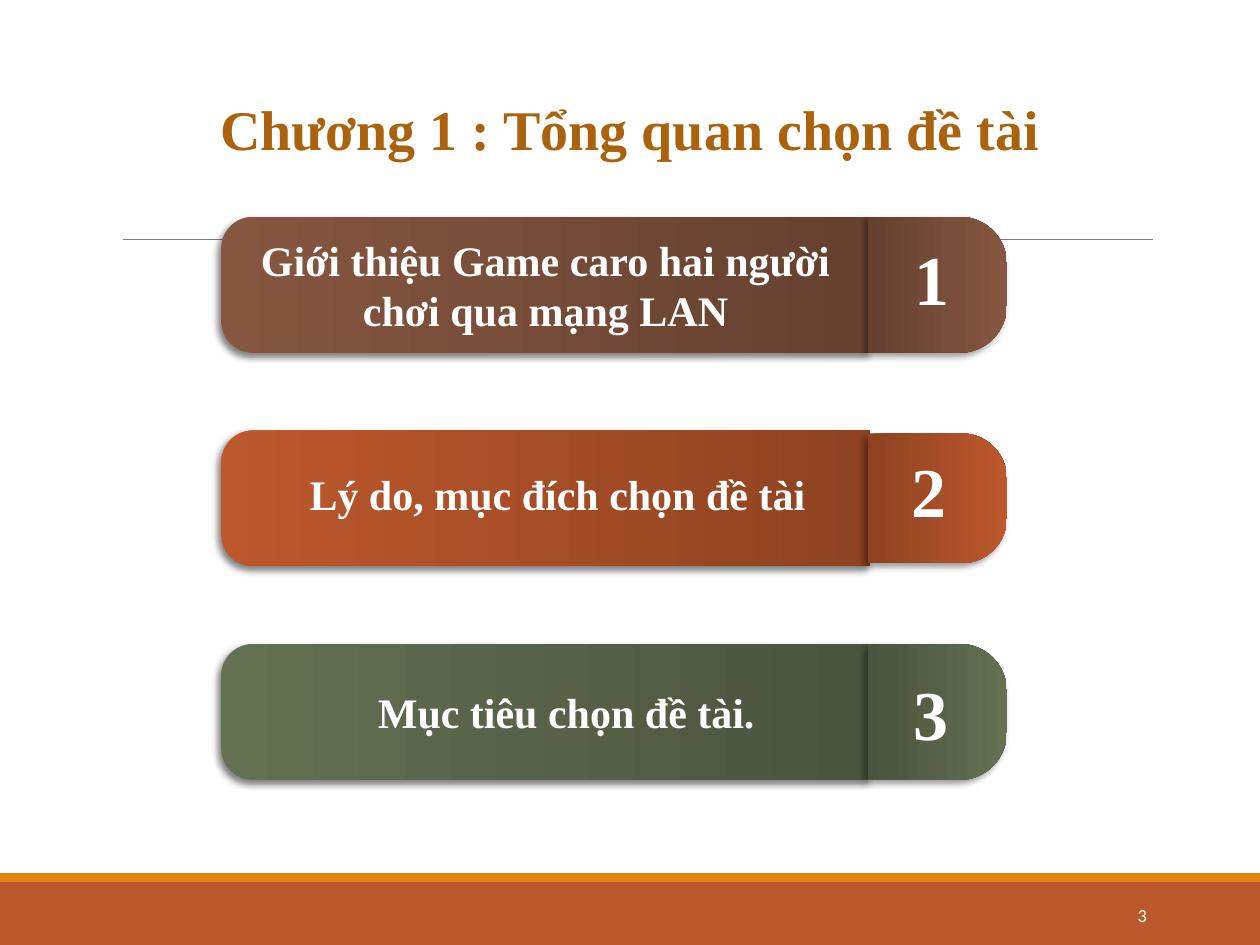
from lxml.etree import SubElement
from pptx import Presentation
from pptx.dml.color import RGBColor as RGB
from pptx.enum.shapes import MSO_CONNECTOR as LINE, MSO_SHAPE as SHAPE
from pptx.enum.text import MSO_ANCHOR as ANCHOR, MSO_AUTO_SIZE as FIT, PP_ALIGN as ALIGN
from pptx.oxml import parse_xml
from pptx.oxml.ns import nsdecls, qn
from pptx.util import Inches, Pt

COLORS = {
    "orange": "BD582C", "amber": "E48312", "rule": "808080", "title": "AB620D",
    "white": "FFFFFF", "brown": "865640", "brown_dark": "654130",
    "orange_dark": "8E4221", "green": "637052", "green_dark": "4A543E",
}
FORMATS = {
    "title": {"name": "Times New Roman", "size": Pt(32), "bold": True},
    "number": {"name": "Times New Roman", "size": Pt(40), "bold": True},
    "label": {"name": "Times New Roman", "size": Pt(24), "bold": True},
    "page": {"name": "Calibri", "size": Pt(10.5), "bold": False},
}


class Deck:
    """Slide builder on a grid of 100 columns by 75 rows."""

    def __init__(self):
        self.prs = Presentation()
        self.prs.slide_width, self.prs.slide_height = Inches(10), Inches(7.5)
        self.cell = self.prs.slide_width / 100
        self.s = self.prs.slides.add_slide(self.prs.slide_layouts[5])

    def grid(self, *cells):
        return [round(c * self.cell) for c in cells]

    def color(self, name):
        return RGB.from_string(COLORS[name])

    def fill_text(self, sp, text, style, color="white", align=ALIGN.CENTER,
                  anchor=ANCHOR.MIDDLE, wrap=True, fit=FIT.SHAPE_TO_FIT_TEXT):
        tf = sp.text_frame
        for key, value in {"word_wrap": wrap, "auto_size": fit, "vertical_anchor": anchor}.items():
            setattr(tf, key, value)
        p = tf.paragraphs[0]
        p.alignment = align
        r = p.add_run()
        r.text = text
        for key, value in FORMATS[style].items():
            setattr(r.font, key, value)
        r.font.color.rgb = self.color(color)
        return r

    def title(self, box, text):
        sp = self.s.shapes.title
        sp.left, sp.top, sp.width, sp.height = self.grid(*box)
        r = self.fill_text(sp, text, "title", "title", wrap=False)
        r.font._element.insert(0, parse_xml(
            f'<a:ln {nsdecls("a")} w="12700"><a:solidFill>'
            f'<a:srgbClr val="{COLORS["amber"]}"/></a:solidFill></a:ln>'))

    def text(self, box, text, style, **options):
        self.fill_text(self.s.shapes.add_textbox(*self.grid(*box)), text, style, **options)

    def band(self, box, color):
        sp = self.s.shapes.add_shape(SHAPE.RECTANGLE, *self.grid(*box))
        sp.shadow.inherit = False
        sp.fill.solid()
        sp.fill.fore_color.rgb = self.color(color)
        sp.line.fill.background()

    def rule(self, x1, x2, y):
        cn = self.s.shapes.add_connector(LINE.STRAIGHT, *self.grid(x1, y, x2, y))
        cn.line.color.rgb = self.color("rule")
        cn.line.width = Pt(0.5)
        SubElement(cn._element.spPr, qn("a:effectLst"))

    def tab(self, cx, cy, length, depth, rotation, radius, stops, angle, end, opacity):
        width, height = depth, length
        box = self.grid(cx - width / 2, cy - height / 2, width, height)
        sp = self.s.shapes.add_shape(SHAPE.ROUND_2_SAME_RECTANGLE, *box)
        sp.rotation = rotation
        sp.adjustments[0], sp.adjustments[1] = radius, 0
        sp.line.fill.background()
        sp.fill.gradient()
        sp.fill.gradient_angle = angle
        for stop, name, position in zip(sp.fill.gradient_stops, stops, (0, end)):
            stop.color.rgb = self.color(name)
            stop.position = position
        sp._element.spPr.append(parse_xml(
            f'<a:effectLst {nsdecls("a")}><a:outerShdw blurRad="50800" dist="38100" '
            'dir="8100000" algn="tr" rotWithShape="0"><a:srgbClr val="000000">'
            f'<a:alpha val="{opacity}000"/></a:srgbClr></a:outerShdw></a:effectLst>'))

    def item(self, cy, hue, tab_depth):
        dark = f"{hue}_dark"
        self.tab(43.3, cy, 51.5, 10.8, 270, 0.233, (hue, dark), 270, 0.99, 50)
        self.tab(74.4, cy, 11, tab_depth, 90, 0.347, (dark, hue), 90, 1, 40)


def main():
    d = Deck()
    d.band((0, 70, 100, 5), "orange")
    d.band((0, 69.3, 100, 0.7), "amber")
    d.rule(9.8, 91.5, 19)
    d.title((16.2, 7, 67.6, 6.4), "Chương 1 : Tổng quan chọn đề tài")
    items = [
        ("brown", 10.8, (70.9, 18.2, 6.1, 7.7), (17.6, 18.1, 51.4, 9.1),
         "Giới thiệu Game caro hai người chơi qua mạng LAN"),
        ("orange", 10.3, (71.3, 35, 4.8, 7.7), (20.6, 36.7, 47.3, 5),
         "Lý do, mục đích chọn đề tài"),
        ("green", 10.8, (71.5, 52.7, 4.8, 7.7), (24.3, 54, 41.3, 5),
         "Mục tiêu chọn đề tài."),
    ]
    for i, (hue, tab_depth, number_box, label_box, label) in enumerate(items):
        d.item(22.6 + 16.95 * i, hue, tab_depth)
        d.text(number_box, str(i + 1), "number", wrap=i == 0)
        d.text(label_box, label, "label", anchor=ANCHOR.TOP)
    d.text((81.2, 70.6, 10.8, 4), "3", "page", align=ALIGN.RIGHT, fit=FIT.NONE)
    d.prs.save("out.pptx")


if __name__ == "__main__":
    main()
